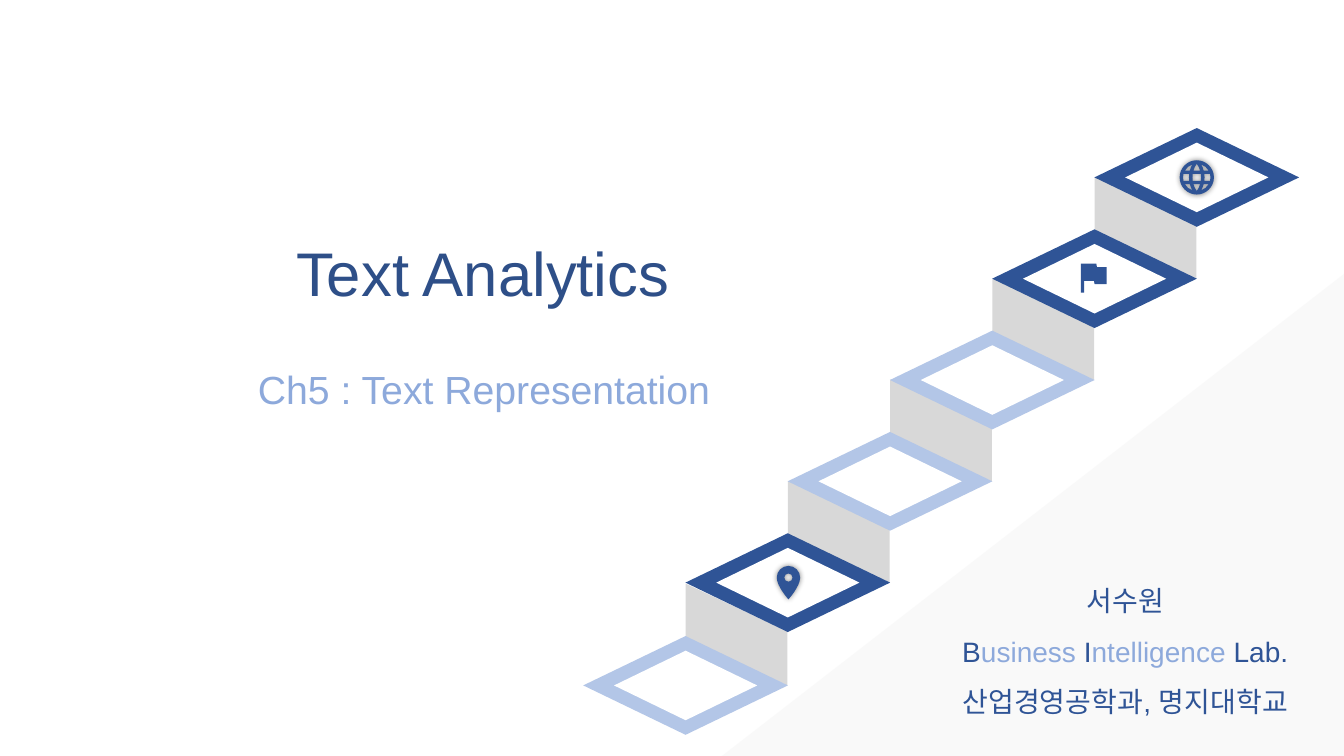
from lxml import etree
from pptx import Presentation
from pptx.dml.color import RGBColor
from pptx.enum.shapes import MSO_SHAPE
from pptx.enum.text import MSO_ANCHOR, MSO_AUTO_SIZE, PP_ALIGN
from pptx.oxml.ns import qn
from pptx.util import Inches, Pt

DIAMOND = MSO_SHAPE.DIAMOND
PARALLELOGRAM = MSO_SHAPE.PARALLELOGRAM
TRIANGLE = MSO_SHAPE.RIGHT_TRIANGLE
MIDDLE = MSO_ANCHOR.MIDDLE
CENTER = PP_ALIGN.CENTER
GROW = MSO_AUTO_SIZE.SHAPE_TO_FIT_TEXT

NAVY = RGBColor(0x2F, 0x54, 0x96)
TITLE_NAVY = RGBColor(0x2E, 0x4F, 0x88)
SKY = RGBColor(0x8D, 0xA9, 0xDB)
PALE_BLUE = RGBColor(0xB3, 0xC6, 0xE7)
GREY = RGBColor(0xD8, 0xD8, 0xD8)
LIGHT_GREY = RGBColor(0xF2, 0xF2, 0xF2)
WHITE = RGBColor(0xFF, 0xFF, 0xFF)
BLACK = RGBColor(0, 0, 0)

FONT = "Arial"
TILE_W, TILE_H = 2.03, 0.98
FACE_W, FACE_H = 1.42, 0.69
RISE = 1.01
TILE_COLORS = [PALE_BLUE, NAVY, PALE_BLUE, PALE_BLUE, NAVY, NAVY]
FIRST_X, LAST_X = 6.8, 11.87
STEP_X = (LAST_X - FIRST_X) / 5
BOTTOM_Y, SECOND_Y, TOP_Y = 6.8, 5.78, 1.76
STEP_Y = (SECOND_Y - TOP_Y) / 4


def paint(shape, color):
    shape.shadow.inherit = False
    shape.fill.solid()
    shape.fill.fore_color.rgb = color
    shape.line.fill.background()


def add_preset(slide, kind, left, top, width, height, color):
    shape = slide.shapes.add_shape(
        kind, Inches(left), Inches(top), Inches(width), Inches(height))
    paint(shape, color)
    return shape


def add_centered(slide, kind, x, y, width, height, color):
    return add_preset(slide, kind, x - width / 2, y - height / 2,
                      width, height, color)


def add_text(slide, left, top, width, height, paragraphs, size, spacing=1.0):
    """Each paragraph is a list of (text, color) runs."""
    box = slide.shapes.add_textbox(
        Inches(left), Inches(top), Inches(width), Inches(height))
    frame = box.text_frame
    settings = {"word_wrap": True, "auto_size": GROW,
                "vertical_anchor": MIDDLE,
                "margin_left": 0, "margin_right": 0,
                "margin_top": 0, "margin_bottom": 0}
    for name, value in settings.items():
        setattr(frame, name, value)
    for i, runs in enumerate(paragraphs):
        paragraph = frame.add_paragraph() if i else frame.paragraphs[0]
        paragraph.alignment = CENTER
        paragraph.line_spacing = spacing
        for text, color in runs:
            run = paragraph.add_run()
            run.text = text
            run.font.name = FONT
            run.font.size = Pt(size)
            run.font.color.rgb = color


# Icon outlines, in hundredths of an inch around the icon's center.
# A contour is a list of segments: one point is a line, three are a curve.
def line(*points):
    return [[point] for point in points]


def circle(r):
    k = 0.55 * r
    return [[(0, -r)],
            [(-k, -r), (-r, -k), (-r, 0)], [(-r, k), (-k, r), (0, r)],
            [(k, r), (r, k), (r, 0)], [(r, -k), (k, -r), (0, -r)]]


def mirror(contour, sx, sy=1):
    return [[(sx * x, sy * y) for x, y in segment] for segment in contour]


def globe_outline():
    cap = line((11.8, -6.8), (6.8, -6.8)) + [
        [(6.2, -9), (5.6, -11), (4.4, -12.8)],
        [(7.5, -11.7), (10.1, -9.6), (11.8, -6.8)]]
    lens = [[(0, -13.5)], [(1.5, -11.5), (2.6, -9.2), (3.3, -6.8)],
            [(-3.3, -6.8)], [(-2.6, -9.2), (-1.5, -11.5), (0, -13.5)]]
    side = line((7.5, -3.4), (13.2, -3.4)) + [
        [(13.7, -1.2), (13.7, 1.2), (13.2, 3.4)], [(7.5, 3.4)],
        [(7.8, 1.2), (7.8, -1.2), (7.5, -3.4)]]
    belt = line((-4, -3.4), (4, -3.4)) + [
        [(4.3, -1.2), (4.3, 1.2), (4, 3.4)], [(-4, 3.4)],
        [(-4.3, 1.2), (-4.3, -1.2), (-4, -3.4)]]
    caps = [mirror(cap, sx, sy) for sx in (1, -1) for sy in (1, -1)]
    return [circle(17), *caps, side, mirror(side, -1),
            lens, mirror(lens, 1, -1), belt]


def pin_outline():
    drop = [[(0, -11.6)], [(-6.4, -11.6), (-11.6, -6.4), (-11.6, 0)],
            [(-11.6, 8.7), (0, 21.6), (0, 21.6)],
            [(0, 21.6), (11.6, 8.7), (11.6, 0)],
            [(11.6, -6.4), (6.4, -11.6), (0, -11.6)]]
    return [drop, circle(4.1)]


def flag_outline():
    return [line((3, -11), (2.4, -14.4), (-13, -14.4), (-13, 14.4),
                 (-9.6, 14.4), (-9.6, 2.6), (0, 2.6), (0.7, 6),
                 (12.5, 6), (12.5, -11))]


def bend(icon, contours):
    """Turn each three-point segment of the outline into a Bezier curve."""
    lines = icon._element.iter(qn("a:lnTo"))
    lines = iter(list(lines))
    for contour in contours:
        for segment in contour[1:]:
            pieces = [next(lines) for _ in segment]
            if len(pieces) == 3:
                bezier = etree.Element(qn("a:cubicBezTo"))
                pieces[0].addprevious(bezier)
                for piece in pieces:
                    bezier.append(piece[0])
                    piece.getparent().remove(piece)


def add_icon(slide, x, y, contours, glow=False):
    builder = None
    for contour in contours:
        start, *points = [(Inches(x + px / 100), Inches(y + py / 100))
                          for segment in contour for px, py in segment]
        if builder is None:
            builder = slide.shapes.build_freeform(*start, scale=1.0)
        else:
            builder.move_to(*start)
        builder.add_line_segments(points, close=True)
    icon = builder.convert_to_shape()
    bend(icon, contours)
    paint(icon, NAVY)
    if glow:
        effects = icon._element.spPr.find(qn("a:effectLst"))
        shadow = etree.SubElement(effects, qn("a:outerShdw"),
                                  blurRad=str(Pt(4)), dist="0", dir="0")
        color = etree.SubElement(shadow, qn("a:srgbClr"), val=str(BLACK))
        etree.SubElement(color, qn("a:alpha"), val="45000")


def add_corner(slide):
    corner = add_preset(slide, TRIANGLE, 7.16, 2.71, 6.18, 4.79, LIGHT_GREY)
    properties = corner._element.spPr
    properties.find(qn("a:xfrm")).set("flipH", "1")
    color = properties.find(qn("a:solidFill")).find(qn("a:srgbClr"))
    etree.SubElement(color, qn("a:alpha"), val="40000")


def add_staircase(slide):
    heights = [BOTTOM_Y] + [SECOND_Y - STEP_Y * i for i in range(5)]
    centers = [(FIRST_X + STEP_X * i, y) for i, y in enumerate(heights)]
    # Risers join each step to the next one
    for x, y in centers[:-1]:
        riser = add_centered(slide, PARALLELOGRAM, x + RISE / 2, y - RISE / 2,
                             RISE, RISE, GREY)
        riser.rotation = 270
        riser.adjustments[0] = 0.469
    # Step tiles with white faces
    for (x, y), color in zip(centers, TILE_COLORS):
        add_centered(slide, DIAMOND, x, y, TILE_W, TILE_H, color)
        add_centered(slide, DIAMOND, x, y, FACE_W, FACE_H, WHITE)


def main():
    deck = Presentation()
    deck.slide_width, deck.slide_height = Inches(13.33), Inches(7.5)
    slide = deck.slides.add_slide(deck.slide_layouts[6])

    add_corner(slide)
    add_staircase(slide)

    # Icons on the dark steps
    add_icon(slide, 7.82, 5.73, pin_outline(), glow=True)
    add_icon(slide, 11.87, 1.76, globe_outline(), glow=True)
    add_icon(slide, 10.85, 2.76, flag_outline())

    # Title, chapter and author
    add_text(slide, 0.45, 2.33, 8.68, 0.74,
             [[("Text Analytics", TITLE_NAVY)]], 44)
    add_text(slide, 0.46, 3.62, 8.68, 0.47,
             [[("Ch5 : Text Representation", SKY)]], 28)
    author = [[("서수원", NAVY)],
              [("B", NAVY), ("usiness ", SKY), ("I", NAVY),
               ("ntelligence ", SKY), ("Lab.", NAVY)],
              [("산업경영공학과, 명지대학교", NAVY)]]
    add_text(slide, 9.32, 5.62, 3.68, 1.51, author, 20, spacing=1.5)

    deck.save("out.pptx")


main()
